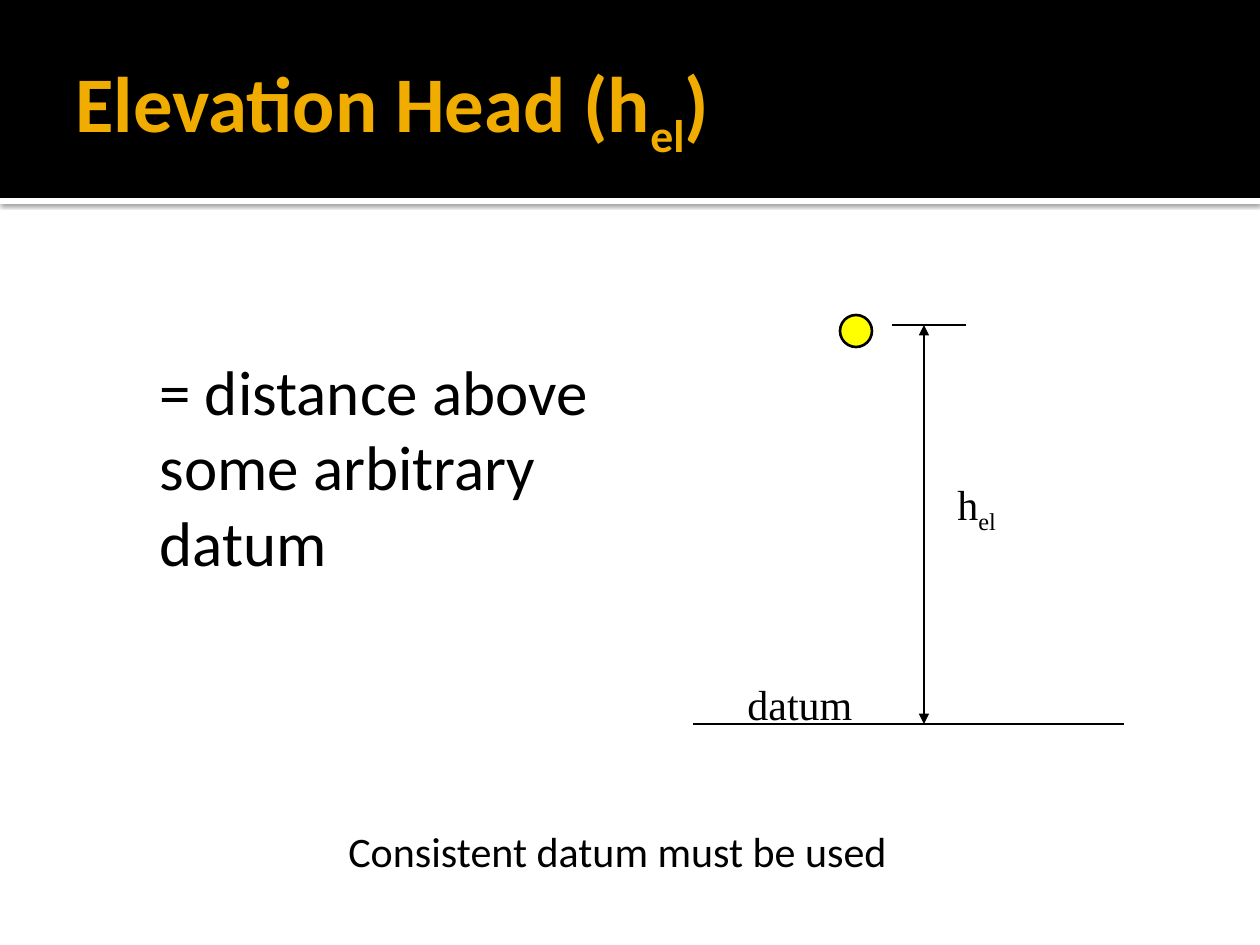
from dataclasses import dataclass

from lxml.etree import SubElement
from pptx import Presentation
from pptx.dml.color import RGBColor
from pptx.enum.shapes import MSO_CONNECTOR, MSO_SHAPE
from pptx.enum.text import MSO_ANCHOR, MSO_AUTO_SIZE, PP_ALIGN
from pptx.oxml.ns import qn
from pptx.util import Emu, Pt

EMU_PER_PX = 914400 / 126


@dataclass(frozen=True)
class Theme:
    black: RGBColor = RGBColor(0, 0, 0)
    white: RGBColor = RGBColor(255, 255, 255)
    gold: RGBColor = RGBColor(0xF0, 0xAD, 0)
    yellow: RGBColor = RGBColor(255, 255, 0)
    sans: str = "Calibri"
    serif: str = "Times New Roman"
    title_size: int = 45
    body_size: int = 36
    label_size: int = 24
    line_width: float = 1.5


THEME = Theme()


@dataclass(frozen=True)
class Box:
    left: int
    top: int
    width: int
    height: int


@dataclass(frozen=True)
class Line:
    start: tuple[int, int]
    end: tuple[int, int]
    arrows: bool = False


@dataclass(frozen=True)
class Label:
    box: Box
    pieces: tuple[str, ...]
    font: str
    size: int
    wrap: bool = True
    spaced: bool = False


def px(value: float) -> Emu:
    return Emu(round(value * EMU_PER_PX))


def bounds(box: Box) -> tuple[Emu, ...]:
    return tuple(px(value) for value in (box.left, box.top, box.width, box.height))


def add_filled(slide, kind, box: Box, fill: RGBColor, outlined: bool = False):
    shape = slide.shapes.add_shape(kind, *bounds(box))
    shape.shadow.inherit = False
    shape.fill.solid()
    shape.fill.fore_color.rgb = fill
    if outlined:
        shape.line.color.rgb = THEME.black
        shape.line.width = Pt(THEME.line_width)
    else:
        shape.line.fill.background()
    return shape


def add_drop_shadow(shape) -> None:
    effects = shape.element.spPr.find(qn("a:effectLst"))
    shadow = SubElement(effects, qn("a:outerShdw"), blurRad="31750", dist="10160",
                        dir="5400000", algn="t", rotWithShape="0")
    color = SubElement(shadow, qn("a:srgbClr"), val=str(THEME.black))
    SubElement(color, qn("a:alpha"), val="60000")


def add_line(slide, line: Line) -> None:
    points = [px(value) for value in line.start + line.end]
    connector = slide.shapes.add_connector(MSO_CONNECTOR.STRAIGHT, *points)
    connector.line.color.rgb = THEME.black
    connector.line.width = Pt(THEME.line_width)
    if line.arrows:
        outline = connector.element.spPr.find(qn("a:ln"))
        for end in ("a:headEnd", "a:tailEnd"):
            SubElement(outline, qn(end), type="triangle")
    SubElement(connector.element.spPr, qn("a:effectLst"))


def write_pieces(paragraph, pieces: tuple[str, ...], font: str, size: int,
                 color: RGBColor, bold: bool = False) -> None:
    for index, piece in enumerate(pieces):
        run = paragraph.add_run()
        run.text = piece
        run.font.name = font
        run.font.size = Pt(size)
        run.font.color.rgb = color
        run.font.bold = bold
        if index % 2:
            run.font._element.set("baseline", "-25000")


def add_label(slide, label: Label) -> None:
    text_frame = slide.shapes.add_textbox(*bounds(label.box)).text_frame
    text_frame.word_wrap = label.wrap
    text_frame.auto_size = MSO_AUTO_SIZE.SHAPE_TO_FIT_TEXT
    paragraph = text_frame.paragraphs[0]
    if label.spaced:
        properties = paragraph._p.get_or_add_pPr()
        before = SubElement(properties, qn("a:spcBef"))
        SubElement(before, qn("a:spcPct"), val="50000")
    write_pieces(paragraph, label.pieces, label.font, label.size, THEME.black)


def format_title(title, box: Box, pieces: tuple[str, ...]) -> None:
    title.left, title.top, title.width, title.height = bounds(box)
    text_frame = title.text_frame
    text_frame.word_wrap = True
    text_frame.auto_size = MSO_AUTO_SIZE.NONE
    text_frame.vertical_anchor = MSO_ANCHOR.MIDDLE
    text_frame.margin_left = Pt(7.2)
    text_frame.margin_right = text_frame.margin_top = text_frame.margin_bottom = Pt(3.6)
    paragraph = text_frame.paragraphs[0]
    paragraph.alignment = PP_ALIGN.LEFT
    write_pieces(paragraph, pieces, THEME.sans, THEME.title_size, THEME.gold, bold=True)


DATUM_Y = 724
POINT_Y = 325
ARROW_X = 924

LINES = (
    Line((693, DATUM_Y), (1124, DATUM_Y)),
    Line((892, POINT_Y), (966, POINT_Y)),
    Line((ARROW_X, POINT_Y), (ARROW_X, DATUM_Y), arrows=True),
)

LABELS = (
    Label(Box(945, 472, 116, 63), ("h", "el"), THEME.serif, THEME.label_size, spaced=True),
    Label(Box(735, 672, 147, 63), ("datum",), THEME.serif, THEME.label_size, spaced=True),
    Label(Box(336, 819, 568, 64), ("Consistent datum must be used",),
          THEME.sans, THEME.label_size, wrap=False),
    Label(Box(147, 346, 525, 242), ("= distance above some arbitrary datum",),
          THEME.sans, THEME.body_size),
)


def main() -> None:
    presentation = Presentation()
    presentation.slide_width = px(1260)
    presentation.slide_height = px(945)
    slide = presentation.slides.add_slide(presentation.slide_layouts[5])

    strip = add_filled(slide, MSO_SHAPE.RECTANGLE, Box(0, 198, 1260, 6), THEME.white)
    add_drop_shadow(strip)
    banner = add_filled(slide, MSO_SHAPE.RECTANGLE, Box(0, 0, 1260, 198), THEME.black)
    title = slide.shapes.title
    format_title(title, Box(63, 21, 1134, 173), ("Elevation Head (h", "el", ")"))
    banner.element.addnext(title.element)

    datum_line, *height_lines = LINES
    add_line(slide, datum_line)
    add_filled(slide, MSO_SHAPE.OVAL, Box(840, 315, 32, 32), THEME.yellow, outlined=True)
    for line in height_lines:
        add_line(slide, line)
    for label in LABELS:
        add_label(slide, label)

    presentation.save("out.pptx")


if __name__ == "__main__":
    main()
